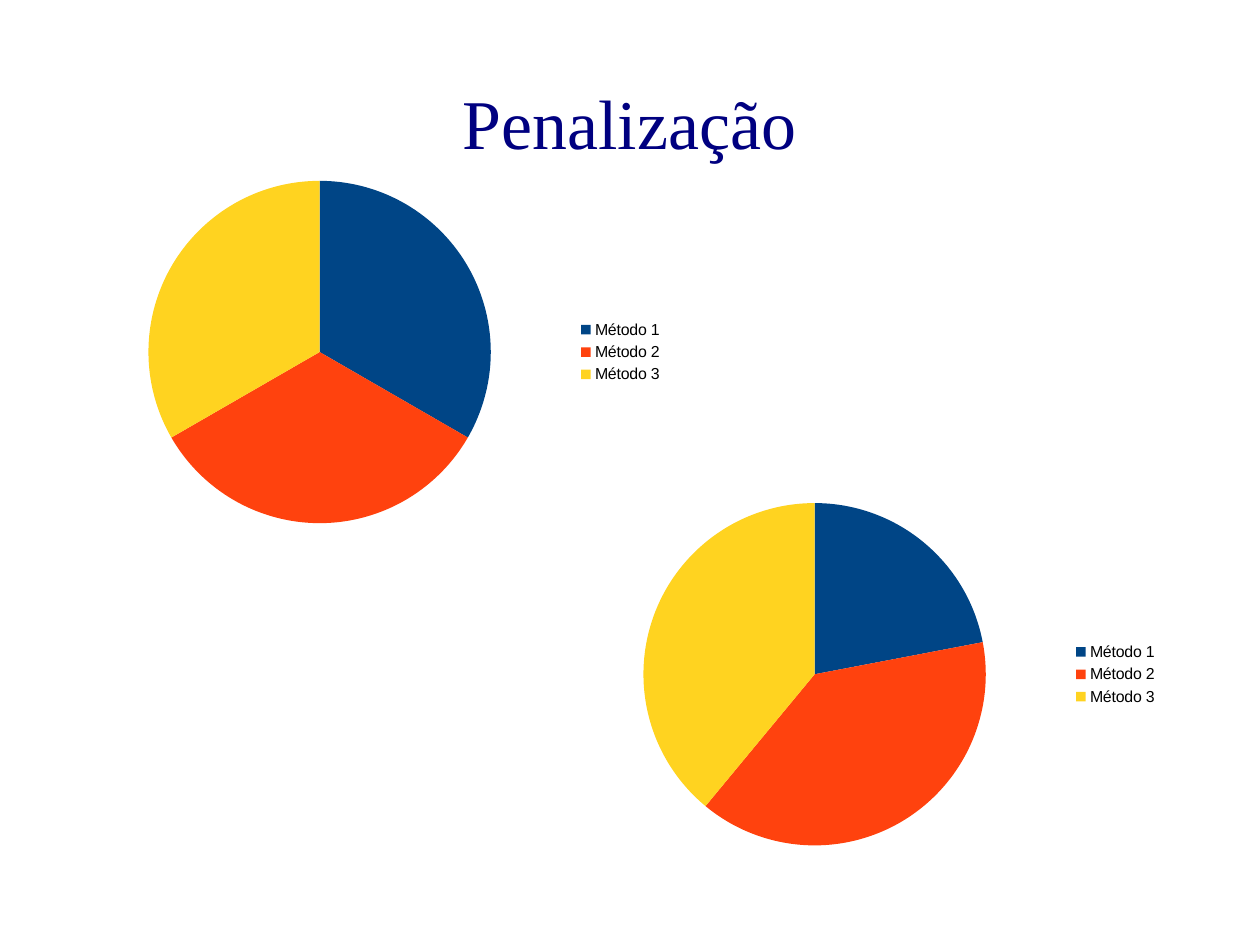
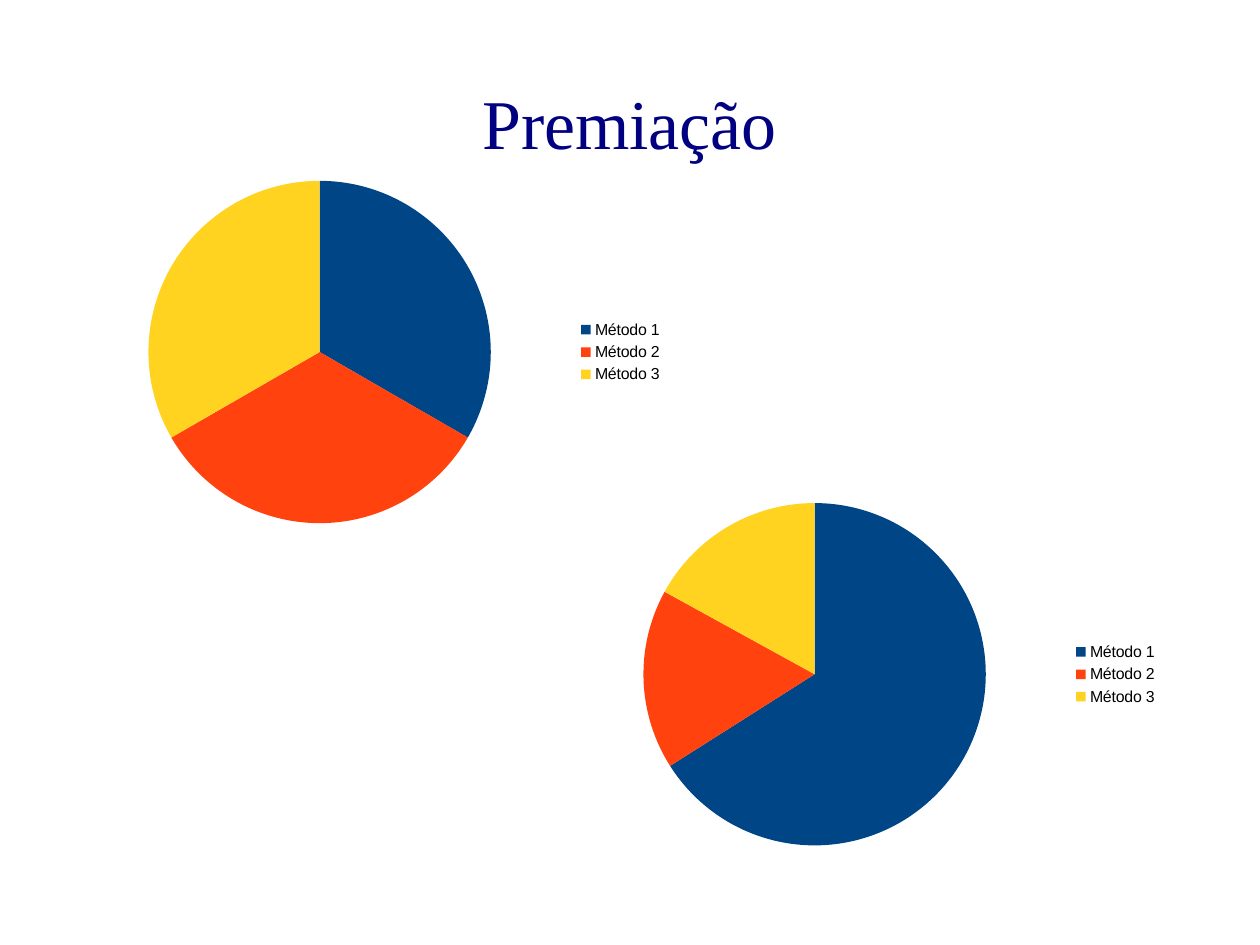
from dataclasses import dataclass

from lxml import etree
from pptx import Presentation
from pptx import util as u
from pptx.chart import data as chart_data
from pptx.dml.color import RGBColor
from pptx.enum import chart as chart_enum, text
from pptx.oxml import ns


@dataclass(frozen=True)
class Theme:
    title_color: RGBColor = RGBColor.from_string("000080")
    legend_color: RGBColor = RGBColor.from_string("000000")
    slices: tuple = tuple(map(RGBColor.from_string, ("004586", "FF420E", "FFD320")))
    title_font: str = "Times New Roman"
    legend_font: str = "Arial"
    title_size: int = 44
    legend_size: int = 10


THEME = Theme()

# Lengths in points: left, top, width, height
SLIDE_SIZE = (793.7, 595.3)
TITLE_BOX = (39.6, 26.6, 714.2, 99.4)
BEFORE_BOX = (39.6, 103, 385.2, 237.6)
AFTER_BOX = (351.4, 306, 385.2, 237.6)

# Pie area as fractions of the chart box
PIE_AREA = {"x": 0.14, "y": 0.04, "w": 0.56, "h": 0.92}

METHODS = ("Método 1", "Método 2", "Método 3")
EQUAL_SHARES = (33, 33, 33)
SLIDES = (
    ("Penalização", (22, 39, 39)),
    ("Premiação", (66, 17, 17)),
)


def style_layout_title(title):
    """Set the title position and frame shared by all slides."""
    title.left, title.top, title.width, title.height = map(u.Pt, TITLE_BOX)
    frame = title.text_frame
    frame.margin_left = frame.margin_top = frame.margin_right = frame.margin_bottom = 0
    frame.vertical_anchor = text.MSO_ANCHOR.MIDDLE
    frame.auto_size = text.MSO_AUTO_SIZE.NONE


def write_title(title, wording):
    title.text_frame.text = wording
    heading = title.text_frame.paragraphs[0]
    heading.alignment = text.PP_ALIGN.CENTER
    heading.font.name = THEME.title_font
    heading.font.size = u.Pt(THEME.title_size)
    heading.font.color.rgb = THEME.title_color


def fix_pie_area(chart):
    """Place the pie by hand inside its chart box."""
    plot_area = chart.element.find(".//" + ns.qn("c:plotArea"))
    for automatic in plot_area.findall(ns.qn("c:layout")):
        plot_area.remove(automatic)
    layout = etree.Element(ns.qn("c:layout"))
    manual = etree.SubElement(layout, ns.qn("c:manualLayout"))
    settings = {"layoutTarget": "inner", "xMode": "edge", "yMode": "edge", **PIE_AREA}
    for tag, value in settings.items():
        etree.SubElement(manual, ns.qn("c:" + tag)).set("val", str(value))
    plot_area.insert(0, layout)


def add_pie(slide, box, shares):
    pie_data = chart_data.CategoryChartData()
    pie_data.categories = METHODS
    pie_data.add_series("Series 1", shares)
    chart = slide.shapes.add_chart(
        chart_enum.XL_CHART_TYPE.PIE, *map(u.Pt, box), pie_data
    ).chart
    chart.has_title = False
    chart.font.name = THEME.legend_font
    chart.font.size = u.Pt(THEME.legend_size)
    chart.font.color.rgb = THEME.legend_color

    # Legend
    chart.has_legend = True
    chart.legend.position = chart_enum.XL_LEGEND_POSITION.RIGHT
    chart.legend.include_in_layout = False

    # Slices
    pie = chart.plots[0]
    pie.vary_by_categories = True
    for index, color in enumerate(THEME.slices):
        look = pie.series[0].points[index].format
        look.fill.solid()
        look.fill.fore_color.rgb = color
        look.line.fill.background()
    fix_pie_area(chart)


def add_comparison_slide(deck, layout, wording, shares):
    slide = deck.slides.add_slide(layout)
    write_title(slide.shapes.title, wording)
    add_pie(slide, BEFORE_BOX, EQUAL_SHARES)
    add_pie(slide, AFTER_BOX, shares)


def main():
    deck = Presentation()
    deck.slide_width, deck.slide_height = map(u.Pt, SLIDE_SIZE)
    title_only = deck.slide_layouts.get_by_name("Title Only")
    style_layout_title(title_only.placeholders[0])
    for wording, shares in SLIDES:
        add_comparison_slide(deck, title_only, wording, shares)
    deck.save("out.pptx")


if __name__ == "__main__":
    main()
